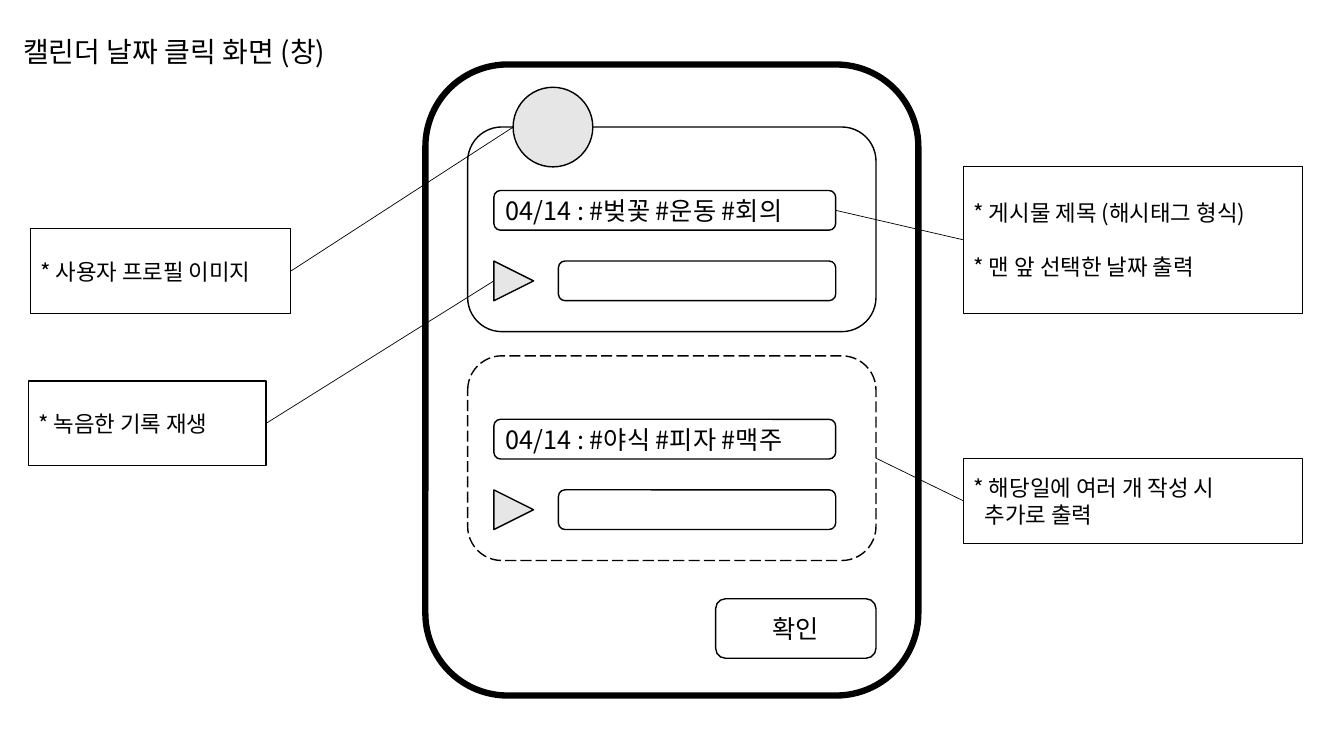
from pptx import Presentation, util as u
from pptx.dml.color import RGBColor
from pptx.enum import dml, shapes, text
from pptx.oxml import xmlchemy

BLACK = RGBColor(0, 0, 0)
WHITE = RGBColor(0xFF, 0xFF, 0xFF)
GRAY = RGBColor(0xE7, 0xE6, 0xE6)
FONT = "Noto Sans CJK KR"
KIND = shapes.MSO_SHAPE

# The slide is a grid of 100 columns by 100 rows
WIDTH, HEIGHT = u.Inches(13.33), u.Inches(7.5)
COLUMN, ROW = WIDTH / 100, HEIGHT / 100


def emu(box):
    left, top, width, height = box
    return [round(left * COLUMN), round(top * ROW), round(width * COLUMN), round(height * ROW)]


def inside(box, left, top, width, height):
    return box[0] + left, box[1] + top, width, height


def write(shape, lines, size, align=text.PP_ALIGN.LEFT, gap=0, indent=0):
    """Write the lines; gap and indent apply to the lines after the first."""
    frame = shape.text_frame
    frame.word_wrap = True
    frame.vertical_anchor = text.MSO_ANCHOR.MIDDLE
    frame.text = "\n".join(lines)
    for number, paragraph in enumerate(frame.paragraphs):
        paragraph.alignment = align
        font = paragraph.font
        font.size, font.name = u.Pt(size), FONT
        font.color.rgb = BLACK
        properties = paragraph._p.get_or_add_pPr()
        east_asian = xmlchemy.OxmlElement("a:ea")
        east_asian.set("typeface", FONT)
        properties.defRPr.append(east_asian)
        if number:
            paragraph.space_before = u.Pt(gap)
            properties.set("marL", str(u.Inches(indent)))


def add_outline(slide, kind, box, fill=None, line_width=1):
    shape = slide.shapes.add_shape(kind, *emu(box))
    shape.shadow.inherit = False
    if fill is None:
        shape.fill.background()
    else:
        shape.fill.solid()
        shape.fill.fore_color.rgb = fill
    shape.line.color.rgb = BLACK
    shape.line.width = u.Pt(line_width)
    return shape


def add_title(slide, box):
    title = slide.shapes.add_textbox(*emu(box))
    write(title, ["캘린더 날짜 클릭 화면 (창)"], 20)
    title.text_frame.margin_left = u.Inches(0.23)


def add_post(slide, box, tags, dashed=False):
    """Draw a post card with its hashtag title, play button and recording bar."""
    card = add_outline(slide, KIND.ROUNDED_RECTANGLE, box)
    if dashed:
        card.line.dash_style = dml.MSO_LINE.LONG_DASH
    play = add_outline(slide, KIND.ISOSCELES_TRIANGLE, inside(box, 1.95, 17.73, 2.95, 5.25), GRAY)
    play.rotation = 90
    add_outline(slide, KIND.ROUNDED_RECTANGLE, inside(box, 6.75, 17.73, 20.63, 5.25), WHITE)
    heading = add_outline(slide, KIND.ROUNDED_RECTANGLE, inside(box, 1.95, 8.4, 25.43, 5.25))
    write(heading, [f"04/14 : {tags}"], 18)
    return card, play, heading


def add_phone(slide, box):
    """Draw the phone screen and return the parts that callouts point to."""
    add_outline(slide, KIND.ROUNDED_RECTANGLE, box, line_width=4.5)
    first_box = inside(box, 3.15, 8.27, 30.38, 27.07)
    second_box = inside(first_box, 0, 30.27, 30.38, 27.07)
    _, play, heading = add_post(slide, first_box, "#벚꽃 #운동 #회의")
    extra_card, _, _ = add_post(slide, second_box, "#야식 #피자 #맥주", dashed=True)
    profile = add_outline(slide, KIND.OVAL, inside(first_box, 3.38, -5.25, 5.93, 10.53), GRAY)
    confirm = add_outline(slide, KIND.ROUNDED_RECTANGLE, inside(box, 21.6, 70.67, 11.93, 7.87), WHITE)
    write(confirm, ["확인"], 18, text.PP_ALIGN.CENTER)
    return profile, play, heading, extra_card


def add_callout(slide, box, target, lines, **spacing):
    """Draw a note and a line from its facing side to the target's."""
    note = add_outline(slide, KIND.RECTANGLE, box)
    write(note, lines, 16, **spacing)
    if note.left < target.left:
        start, end = note.left + note.width, target.left
    else:
        start, end = note.left, target.left + target.width
    line = slide.shapes.add_connector(
        shapes.MSO_CONNECTOR.STRAIGHT,
        start, note.top + note.height // 2, end, target.top + target.height // 2)
    line.line.color.rgb = BLACK
    line.line.width = u.Pt(0.5)
    line._element.spPr.append(xmlchemy.OxmlElement("a:effectLst"))


def main():
    presentation = Presentation()
    presentation.slide_width, presentation.slide_height = WIDTH, HEIGHT
    slide = presentation.slides.add_slide(presentation.slide_layouts[6])

    add_title(slide, (0, 0, 30.23, 13.6))
    profile, play, heading, extra_card = add_phone(slide, (31.65, 8.53, 36.68, 83.47))

    # Notes on the left
    add_callout(slide, (2.25, 30.27, 19.38, 11.2), profile, ["* 사용자 프로필 이미지"])
    add_callout(slide, (2.1, 50.4, 17.7, 11.2), play, ["* 녹음한 기록 재생"])

    # Notes on the right
    add_callout(slide, (71.7, 22, 25.2, 19.47), heading,
                ["* 게시물 제목 (해시태그 형식)", "* 맨 앞 선택한 날짜 출력"], gap=19.2)
    add_callout(slide, (71.7, 60.67, 25.2, 11.2), extra_card,
                ["* 해당일에 여러 개 작성 시", "추가로 출력"], indent=0.11)

    presentation.save("out.pptx")


if __name__ == "__main__":
    main()
